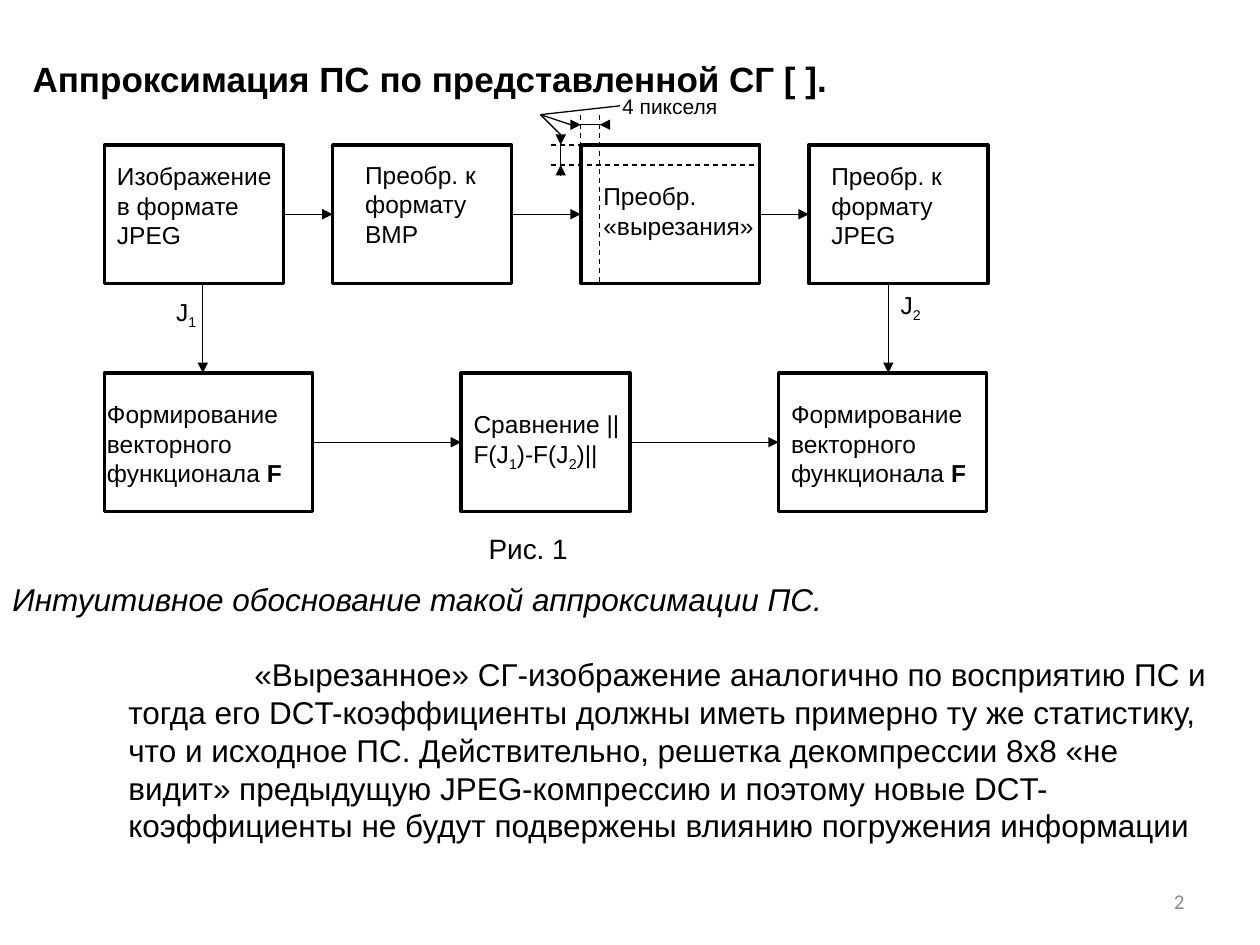
from lxml.etree import SubElement as Sub
from pptx import Presentation as Deck
from pptx.dml.color import RGBColor as Color
from pptx.enum.dml import MSO_LINE_DASH_STYLE as Dash
from pptx.enum.shapes import MSO_CONNECTOR as Conn, MSO_SHAPE as Kind
from pptx.enum.text import MSO_ANCHOR as Anchor, PP_ALIGN as Align
from pptx.oxml.ns import qn
from pptx.util import Inches, Pt

BLACK = "000000"
TOP, LOW, HIGH = 1.15, 2.96, 1.1
STEPS = [0.83, 2.64, 4.61, 6.42]
STEP_W = 1.42
CHECKS = [(0.83, 1.65), (3.66, 1.34), (6.18, 1.65)]
FORM = [("Формирование векторного функционала ", ""), ("F", "b")]


def paint(code):
    """Return the colour for a hex string."""
    return Color.from_string(code)


def add_box(slide, x, y, wide):
    """Draw one outlined block of the scheme."""
    box = slide.shapes.add_shape(
        Kind.RECTANGLE, Inches(x), Inches(y), Inches(wide), Inches(HIGH))
    box.shadow.inherit = False
    box.fill.background()
    box.line.color.rgb = paint(BLACK)
    box.line.width = Pt(2)


def add_line(slide, x1, y1, x2, y2, arrow=False, dash=False):
    """Draw a thin line, with an arrowhead or dashes on demand."""
    line = slide.shapes.add_connector(
        Conn.STRAIGHT, Inches(x1), Inches(y1), Inches(x2), Inches(y2))
    line.line.color.rgb = paint(BLACK)
    line.line.width = Pt(0.75)
    if dash:
        line.line.dash_style = Dash.DASH
    if arrow:
        Sub(line.line._get_or_add_ln(), qn("a:tailEnd"), type="triangle")
    Sub(line._element.spPr, qn("a:effectLst"))


def add_runs(para, runs, size, face="Arial", code=BLACK):
    """Add (text, style) runs: b bold, i italic, s subscript."""
    for text, style in runs:
        run = para.add_run()
        run.text = text
        font = run.font
        font.name, font.size = face, Pt(size)
        font.color.rgb = paint(code)
        font.bold, font.italic = "b" in style, "i" in style
        if "s" in style:
            font._element.set("baseline", "-25000")


def add_text(slide, x, y, wide, high, runs, size=14, wrap=True, mid=False, **look):
    """Add a text box with one paragraph and return its frame."""
    frame = slide.shapes.add_textbox(
        Inches(x), Inches(y), Inches(wide), Inches(high)).text_frame
    frame.word_wrap = wrap
    frame.vertical_anchor = Anchor.MIDDLE if mid else Anchor.TOP
    add_runs(frame.paragraphs[0], runs, size, **look)
    return frame


def add_blocks(slide):
    """Draw both rows of blocks and the arrows between them."""
    for x in STEPS:
        add_box(slide, x, TOP, STEP_W)
    for x, wide in CHECKS:
        add_box(slide, x, LOW, wide)
    for x, end in zip(STEPS, STEPS[1:]):
        add_line(slide, x + STEP_W, TOP + HIGH / 2, end, TOP + HIGH / 2, arrow=True)
    for (x, wide), (end, _) in zip(CHECKS, CHECKS[1:]):
        add_line(slide, x + wide, LOW + HIGH / 2, end, LOW + HIGH / 2, arrow=True)
    for x in (1.61, 7.05):
        add_line(slide, x, TOP + HIGH, x, LOW, arrow=True)


def add_crop(slide):
    """Draw the crop marks that show the four pixel shift."""
    for x in (4.61, 4.76):
        add_line(slide, x, 0.91, x, TOP + HIGH, dash=True)
    for y, end in ((1.15, 5.87), (1.31, 6.02)):
        add_line(slide, 4.37, y, end, y, dash=True)
    add_line(slide, 4.45, 1.07, 4.45, 1.39)
    add_line(slide, 4.53, 0.99, 4.84, 0.99)
    for start, end in ((1.07, 1.15), (1.39, 1.31)):
        add_line(slide, 4.45, start, 4.45, end, arrow=True)
    for start, end in ((4.53, 4.61), (4.84, 4.76)):
        add_line(slide, start, 0.99, end, 0.99, arrow=True)
    for x, y in ((4.45, 1.07), (4.53, 0.99), (4.92, 0.84)):
        add_line(slide, 4.29, 0.91, x, y)


def add_labels(slide):
    """Write the captions of the scheme."""
    for x, y, wide, high, text in (
            (0.83, 1.23, 1.5, 0.8, "Изображение в формате JPEG"),
            (2.8, 1.22, 1.34, 0.8, "Преобр. к формату BMP"),
            (4.69, 1.39, 1.42, 0.57, "Преобр. «вырезания»"),
            (6.5, 1.23, 1.34, 0.8, "Преобр. к формату JPEG")):
        add_text(slide, x, y, wide, high, [(text, "")])
    for x in (0.75, 6.18):
        add_text(slide, x, 3.12, 1.65, 0.8, FORM)
    add_text(slide, 3.66, 3.2, 1.65, 0.6, [
        ("Сравнение ||F(J", ""), ("1", "s"), (")-F(J", ""), ("2", "s"), (")||", "")])
    for x, y, mark in ((1.3, 2.31, "1"), (7.05, 2.25, "2")):
        add_text(slide, x, y, 0.37, 0.37, [("J", ""), (mark, "s")], wrap=False)
    add_text(slide, 4.84, 0.69, 0.96, 0.3, [("4 пикселя", "")], 12, wrap=False)
    add_text(slide, 3.78, 4.17, 0.83, 0.37, [("Рис. 1", "")], 16, wrap=False)


def add_body(slide):
    """Write the reasoning under the scheme."""
    frame = add_text(slide, 0, 4.01, 9.69, 3.28, [
        ("Интуитивное обоснование такой аппроксимации ПС.", "i")], 18, mid=True)
    para = frame.add_paragraph()
    para.space_before = Pt(21.6)
    props = para._p.get_or_add_pPr()
    props.set("marL", str(Inches(0.92)))
    props.set("indent", str(Inches(1)))
    add_runs(para, [(
        "«Вырезанное» СГ-изображение аналогично по восприятию ПС и тогда его "
        "DCT-коэффициенты должны иметь примерно ту же статистику, что и исходное ПС. "
        "Действительно, решетка декомпрессии 8х8 «не видит» предыдущую "
        "JPEG-компрессию и поэтому новые DCT-коэффициенты не будут подвержены "
        "влиянию погружения информации", "")], 18)


def main():
    """Build the slide and save it."""
    deck = Deck()
    deck.slide_width, deck.slide_height = Inches(10), Inches(7.5)
    slide = deck.slides.add_slide(deck.slide_layouts[6])
    add_text(slide, 0.16, 0.16, 9.69, 0.92, [
        ("Аппроксимация ПС по представленной СГ [ ].", "b")], 20, mid=True)
    page = add_text(slide, 7.17, 6.95, 2.33, 0.4, [("2", "")], 12, mid=True,
                    face="Calibri", code="898989")
    page.paragraphs[0].alignment = Align.RIGHT
    add_body(slide)
    add_blocks(slide)
    add_crop(slide)
    add_labels(slide)
    deck.save("out.pptx")


if __name__ == "__main__":
    main()
